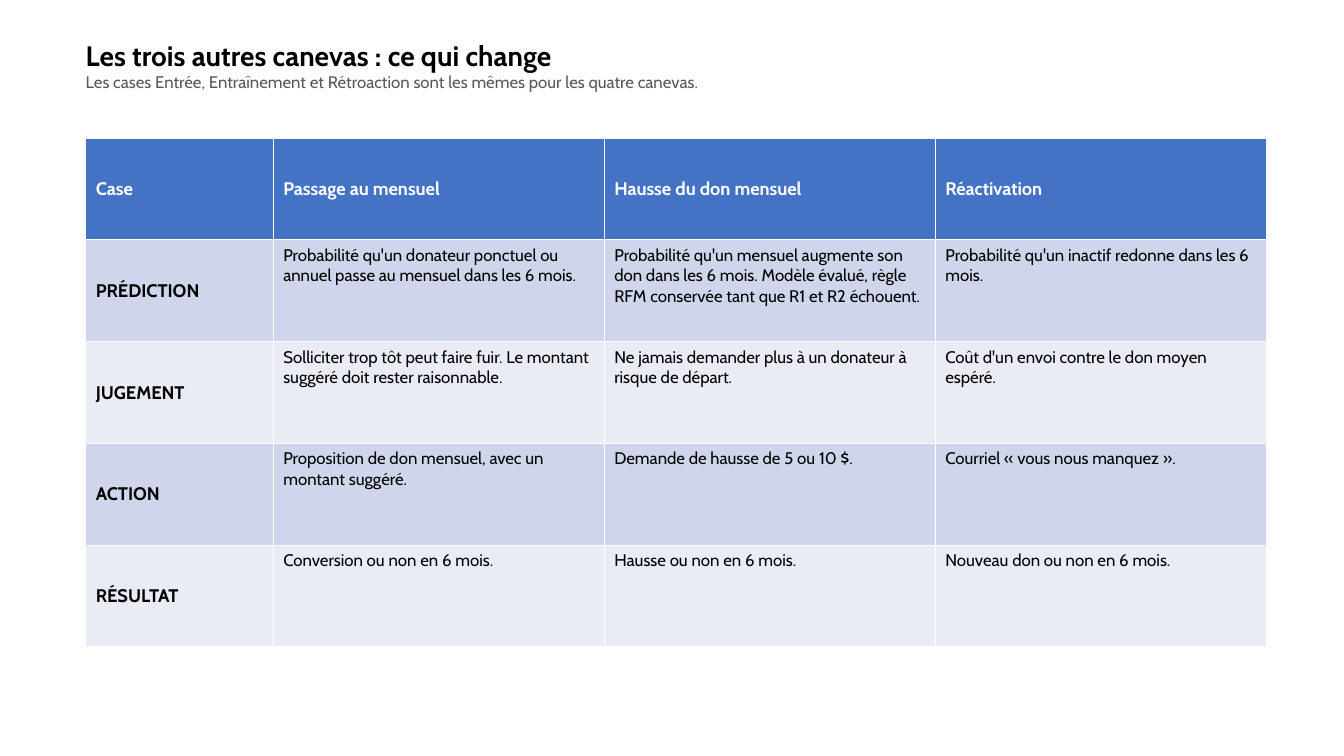
from pptx import Presentation
from pptx import util as u
from pptx.dml.color import RGBColor
from pptx.enum import text
from pptx.oxml import parse_xml
from pptx.oxml.ns import nsdecls

BLACK = RGBColor(0x00, 0x00, 0x00)
WHITE = RGBColor(0xFF, 0xFF, 0xFF)
GREY = RGBColor(0x59, 0x59, 0x59)
BLUE = RGBColor(0x44, 0x72, 0xC4)
BANDS = RGBColor(0xCF, 0xD5, 0xEA), RGBColor(0xE9, 0xEB, 0xF5)

# Page grid, in inches
LEFT, WIDTH = 0.85, 11.71
HEAD_TOP, HEAD_HEIGHT = 0.33, 0.55
TABLE_TOP, ROW_HEIGHT = 1.37, 1.01
CASE_WIDTH = 1.86

TITLE = "Les trois autres canevas : ce qui change"
SUBTITLE = "Les cases Entrée, Entraînement et Rétroaction sont les mêmes pour les quatre canevas."
ROWS = [
    ["Case", "Passage au mensuel", "Hausse du don mensuel", "Réactivation"],
    ["PRÉDICTION",
     "Probabilité qu'un donateur ponctuel ou annuel passe au mensuel dans les 6 mois.",
     "Probabilité qu'un mensuel augmente son don dans les 6 mois. Modèle évalué, "
     "règle RFM conservée tant que R1 et R2 échouent.",
     "Probabilité qu'un inactif redonne dans les 6 mois."],
    ["JUGEMENT",
     "Solliciter trop tôt peut faire fuir. Le montant suggéré doit rester raisonnable.",
     "Ne jamais demander plus à un donateur à risque de départ.",
     "Coût d'un envoi contre le don moyen espéré."],
    ["ACTION",
     "Proposition de don mensuel, avec un montant suggéré.",
     "Demande de hausse de 5 ou 10 $.",
     "Courriel « vous nous manquez »."],
    ["RÉSULTAT",
     "Conversion ou non en 6 mois.",
     "Hausse ou non en 6 mois.",
     "Nouveau don ou non en 6 mois."],
]


class Deck:
    font = "Cabin"

    def __init__(self):
        self.prs = Presentation()
        self.prs.slide_width, self.prs.slide_height = u.Inches(13.33), u.Inches(7.5)
        self.s = self.prs.slides.add_slide(self.prs.slide_layouts[5])

    def paragraph(self, p, words, size, color, bold=False):
        p.text = words
        p.alignment = text.PP_ALIGN.LEFT
        p.font.name, p.font.size, p.font.bold = self.font, u.Pt(size), bold
        p.font.color.rgb = color

    def heading(self, title, subtitle):
        sp = self.s.shapes.title
        sp.left, sp.top = u.Inches(LEFT), u.Inches(HEAD_TOP)
        sp.width, sp.height = u.Inches(WIDTH), u.Inches(HEAD_HEIGHT)
        tf = sp.text_frame
        tf.word_wrap, tf.auto_size = True, text.MSO_AUTO_SIZE.NONE
        tf.vertical_anchor = text.MSO_ANCHOR.TOP
        tf.margin_left = 0
        self.paragraph(tf.paragraphs[0], title, 20, BLACK, True)
        self.paragraph(tf.add_paragraph(), subtitle, 12, GREY)

    def borders(self, cell, color, width=1):
        tcPr = cell._tc.get_or_add_tcPr()
        for side in "LRTB":
            tcPr.append(parse_xml(
                f'<a:ln{side} {nsdecls("a")} w="{u.Pt(width)}"><a:solidFill>'
                f'<a:srgbClr val="{color}"/></a:solidFill></a:ln{side}>'))

    def table(self, rows):
        count = len(rows[0])
        table = self.s.shapes.add_table(
            len(rows), count, u.Inches(LEFT), u.Inches(TABLE_TOP),
            u.Inches(WIDTH), u.Inches(ROW_HEIGHT * len(rows))).table
        for c, column in enumerate(table.columns):
            width = (WIDTH - CASE_WIDTH) / (count - 1) if c else CASE_WIDTH
            column.width = u.Inches(width)
        for r, words in enumerate(rows):
            table.rows[r].height = u.Inches(ROW_HEIGHT)
            for c, value in enumerate(words):
                cell = table.cell(r, c)
                label = r == 0 or c == 0
                self.borders(cell, WHITE)
                cell.fill.solid()
                cell.fill.fore_color.rgb = BANDS[(r - 1) % 2] if r else BLUE
                cell.vertical_anchor = text.MSO_ANCHOR.MIDDLE if label else text.MSO_ANCHOR.TOP
                self.paragraph(cell.text_frame.paragraphs[0], value,
                               13 if label else 12, BLACK if r else WHITE, label)


def main():
    deck = Deck()
    # Title and subtitle
    deck.heading(TITLE, SUBTITLE)
    # Comparison of the three canvases
    deck.table(ROWS)
    deck.prs.save("out.pptx")


if __name__ == "__main__":
    main()
